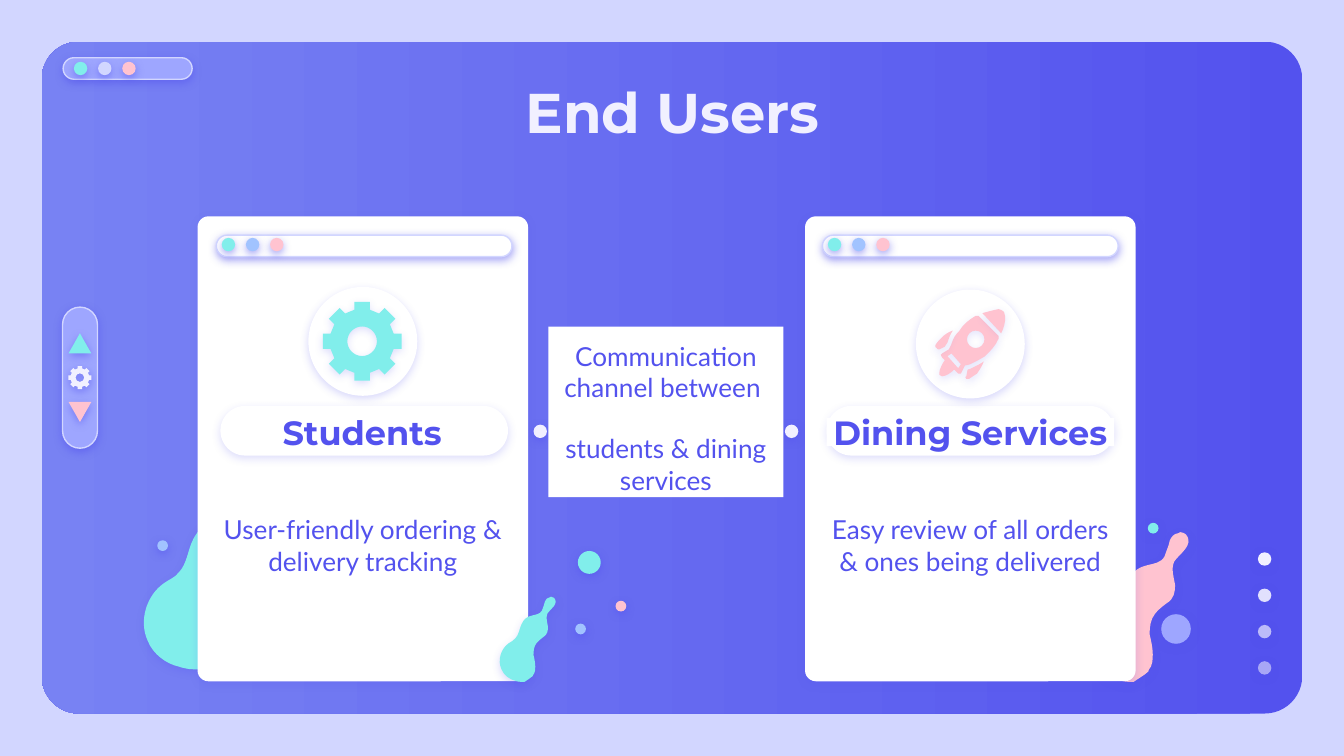
from math import cos, pi, sin
from lxml.etree import SubElement
from pptx import Presentation
from pptx.dml.color import RGBColor
from pptx.enum.shapes import MSO_SHAPE
from pptx.enum.text import MSO_ANCHOR, MSO_AUTO_SIZE, PP_ALIGN
from pptx.oxml.ns import qn
from pptx.util import Pt

PX = 9144
COLORS = {
    "indigo": "5352EE", "violet": "7882F3", "lilac": "9EA6FF", "mist": "D2D6FF",
    "teal": "81EEEB", "pink": "FFC3D0", "sky": "A1C3FF", "snow": "F1F0FF", "white": "FFFFFF",
}

TITLE = "End Users"
CHANNEL = ["Communication channel between ", "students & dining services"]
CARDS = [
    {"left": 147, "bar_left": 161, "heading": "Students", "heading_box": (182, 311, 175, 21),
     "body": "User-friendly ordering & delivery tracking", "icon_top": 214, "icon": "gear"},
    {"left": 599, "bar_left": 612, "heading": "Dining Services",
     "heading_box": (615, 311, 214, 21),
     "body": "Easy review of all orders & ones being delivered", "icon_top": 216, "icon": "rocket"},
]
BLOBS_BEHIND = [(103, 357, 1, "teal"), (808, 396, 0.79, "pink")]
BLOB_FRONT = (370, 444, 0.45, "teal")
BUBBLES = [
    (117, 402, 8, "sky"), (428, 464, 8, "sky"), (430, 410, 17, "teal"), (458, 447, 8, "pink"),
    (864, 457, 22, "lilac"), (854, 389, 8, "teal"), (397, 316, 10, "snow"), (584, 316, 10, "snow"),
]
PAGER_ALPHAS = [100, 90, 67, 54]

BLOB = [[
    (89, 0), (91, 0, 93, 1, 94, 2), (103, 12, 87, 21, 83, 28), (80, 35, 83, 43, 84, 50),
    (84, 56, 83, 63, 76, 67), (72, 70, 68, 73, 65, 77), (61, 82, 60, 89, 60, 96),
    (61, 101, 63, 108, 63, 115), (63, 119, 63, 126, 59, 130), (59, 131),
    (55, 135, 49, 138, 45, 141), (44, 141, 42, 141, 41, 141), (37, 141, 33, 140, 30, 139),
    (21, 137, 11, 130, 7, 120), (0, 105, 6, 86, 19, 77), (23, 74, 27, 73, 30, 69),
    (36, 63, 37, 52, 40, 46), (49, 25, 67, 35, 74, 23), (76, 17, 78, 13, 79, 8),
    (80, 5, 83, 1, 87, 1), (88, 0, 89, 0, 89, 0),
]]


def ring(x, y, r):
    k = 0.55 * r
    return [(x, y - r), (x + k, y - r, x + r, y - k, x + r, y),
            (x + r, y + k, x + k, y + r, x, y + r), (x - k, y + r, x - r, y + k, x - r, y),
            (x - r, y - k, x - k, y - r, x, y - r)]


def gear_outline():
    tooth = [(-5.7, -23.5), (-5.7, -29.3), (5.7, -29.3), (5.7, -23.5)]
    teeth = [(x * cos(i * pi / 4) - y * sin(i * pi / 4), x * sin(i * pi / 4) + y * cos(i * pi / 4))
             for i in range(8) for x, y in tooth]
    return [teeth, ring(0, 0, 11)]


GEAR = gear_outline()
ROCKET = [
    [[(31, 5), (31, 5, 31, 5, 30, 5), (25, 8, 21, 11, 18, 16), (15, 19, 13, 22, 12, 26),
      (11, 27, 11, 29, 10, 30), (5, 33), (4, 33, 4, 34, 4, 34), (4, 35, 4, 35, 5, 36), (7, 38),
      (5, 41, 3, 45, 3, 47), (3, 48, 3, 49, 3, 49), (4, 49, 4, 50, 5, 50),
      (8, 50, 12, 47, 14, 45), (17, 48), (19, 48), (22, 42), (24, 42, 25, 41, 26, 41),
      (30, 39, 34, 37, 37, 35), (41, 31, 45, 27, 47, 22), (47, 22, 47, 21, 47, 20), (32, 5)],
     [(12, 33), (19, 41), (17, 44), (9, 35)],
     ring(30, 22.5, 6.5)],
    [[(47, 0), (42, 1, 39, 2, 35, 3), (49, 18), (51, 14, 52, 10, 52, 6),
      (52, 4, 51, 3, 51, 2), (50, 1, 48, 0, 47, 0)]],
    [[(36, 39), (33, 41, 31, 42, 27, 44), (27, 44, 25, 45, 24, 45), (24, 47, 23, 48, 23, 50),
      (22, 50, 22, 51, 23, 52), (23, 52, 24, 52, 25, 52), (27, 51, 29, 49, 31, 48),
      (33, 45, 35, 42, 36, 39)]],
    [[(13, 16), (10, 17, 7, 19, 5, 21), (3, 23, 1, 25, 0, 27), (0, 28, 0, 29, 1, 29),
      (1, 30, 2, 30, 3, 30), (4, 29, 6, 29, 7, 28), (8, 27, 8, 26, 9, 25),
      (10, 22, 11, 19, 13, 16)]],
]

deck = Presentation()
deck.slide_width, deck.slide_height = 1000 * PX, 5143500
page = deck.slides.add_slide(deck.slide_layouts[4])
page.background.fill.solid()


def rgb(name):
    return RGBColor.from_string(COLORS[name])


page.background.fill.fore_color.rgb = rgb("mist")


def paint(shape, color, shadow=50, line=None, alpha=100):
    shape.fill.solid()
    shape.fill.fore_color.rgb = rgb(color)
    if alpha < 100:
        tint = shape.element.spPr.find(qn("a:solidFill"))[0]
        SubElement(tint, qn("a:alpha"), val=str(alpha * 1000))
    if line:
        shape.line.color.rgb = rgb(line)
        shape.line.width = Pt(0.75)
    else:
        shape.line.fill.background()
    shape.shadow.inherit = False
    effects = shape.element.spPr.find(qn("a:effectLst"))
    outer = SubElement(effects, qn("a:outerShdw"), blurRad=str(Pt(4.5)), dist=str(Pt(1.5)),
                       dir="5400000", algn="bl", rotWithShape="0")
    glow = SubElement(outer, qn("a:srgbClr"), val=COLORS["indigo"])
    SubElement(glow, qn("a:alpha"), val=str(shadow * 1000))


def add_preset(kind, box, color, radius=None, **style):
    shape = page.shapes.add_shape(kind, *(value * PX for value in box))
    if radius is not None:
        shape.adjustments[0] = radius
    paint(shape, color, **style)
    return shape


def add_dot(left, top, size, color, **style):
    add_preset(MSO_SHAPE.OVAL, (left, top, size, size), color, **style)


def add_dots(left, top, colors):
    for i, color in enumerate(colors):
        add_dot(left + 18 * i, top, 10, color)


def add_outline(contours, left, top, scale, color, shadow):
    def place(piece):
        return [(round((left + x * scale) * PX), round((top + y * scale) * PX))
                for x, y in zip(piece[::2], piece[1::2])]

    builder = None
    for contour in contours:
        ends = [place(piece)[-1] for piece in contour]
        if builder is None:
            builder = page.shapes.build_freeform(*ends[0])
        else:
            builder.move_to(*ends[0])
        builder.add_line_segments(ends[1:], close=True)
    shape = builder.convert_to_shape()
    pieces = [piece for contour in contours for piece in contour[1:]]
    for segment, piece in zip(list(shape.element.iter(qn("a:lnTo"))), pieces):
        if len(piece) == 6:
            curve = segment.makeelement(qn("a:cubicBezTo"), {})
            for x, y in place(piece):
                SubElement(curve, qn("a:pt"), x=str(x - shape.left), y=str(y - shape.top))
            segment.getparent().replace(segment, curve)
    paint(shape, color, shadow)


def write(shape, box, lines, font, size, color, bold=False, anchor=MSO_ANCHOR.MIDDLE,
          inset=10, fill="white", gap=0):
    shape.element.getparent().append(shape.element)
    shape.left, shape.top, shape.width, shape.height = (value * PX for value in box)
    if fill:
        shape.fill.solid()
        shape.fill.fore_color.rgb = rgb(fill)
    frame = shape.text_frame
    frame.text = "\n".join(lines)
    frame.word_wrap, frame.auto_size, frame.vertical_anchor = True, MSO_AUTO_SIZE.NONE, anchor
    frame.margin_left = frame.margin_right = frame.margin_top = frame.margin_bottom = inset * PX
    for i, para in enumerate(frame.paragraphs):
        para.alignment = PP_ALIGN.CENTER
        para.space_before = Pt(gap if i else 0)
        para.font.name, para.font.size, para.font.bold = font, Pt(size), bold
        para.font.color.rgb = rgb(color)
        settings = para._p.get_or_add_pPr()
        settings.set("marL", "0")
        settings.set("indent", "0")
        settings.insert_element_before(settings.makeelement(qn("a:buNone"), {}), "a:defRPr")


panel = page.shapes.add_shape(MSO_SHAPE.ROUNDED_RECTANGLE, 31 * PX, 31 * PX, 938 * PX, 500 * PX)
panel.adjustments[0] = 0.056
panel.shadow.inherit = False
panel.line.fill.background()
panel.fill.gradient()
panel.fill.gradient_angle = 180
for stop, position, color in zip(panel.fill.gradient_stops, (0, 1), ("indigo", "violet")):
    stop.position, stop.color.rgb = position, rgb(color)

add_preset(MSO_SHAPE.ROUNDED_RECTANGLE, (47, 43, 96, 16), "lilac", 0.5, line="mist")
add_dots(55, 46, ["teal", "mist", "pink"])
for i, alpha in enumerate(PAGER_ALPHAS):
    add_dot(936, 411 + 27 * i, 10, "snow", alpha=alpha)

for left, top, scale, color in BLOBS_BEHIND:
    add_outline(BLOB, left, top, scale, color, 22)
for bubble in BUBBLES:
    add_dot(*bubble)

for card in CARDS:
    left, bar_left, icon_top = card["left"], card["bar_left"], card["icon_top"]
    add_preset(MSO_SHAPE.ROUNDED_RECTANGLE, (left, 161, 246, 346), "white", 0.033, shadow=18)
    add_preset(MSO_SHAPE.ROUNDED_RECTANGLE, (bar_left + 3, 302, 214, 37), "white", 0.5, shadow=18)
    add_preset(MSO_SHAPE.ROUNDED_RECTANGLE, (bar_left, 175, 220, 16), "white", 0.5, line="mist")
    add_dots(bar_left + 4, 177, ["teal", "sky", "pink"])
    add_dot(left + 83, icon_top, 80, "white", shadow=22, line="white")
    if card["icon"] == "gear":
        add_outline(GEAR, left + 122.5, icon_top + 40, 1, "teal", 18)
    else:
        for part in ROCKET:
            add_outline(part, left + 97, icon_top + 14, 1, "pink", 14)
left, top, scale, color = BLOB_FRONT
add_outline(BLOB, left, top, scale, color, 22)

add_preset(MSO_SHAPE.ROUNDED_RECTANGLE, (7, 268, 105, 26), "lilac", 0.5, line="mist").rotation = 90
add_preset(MSO_SHAPE.ISOSCELES_TRIANGLE, (51, 248, 17, 15), "teal")
add_preset(MSO_SHAPE.ISOSCELES_TRIANGLE, (51, 299, 17, 15), "pink").rotation = 180
add_outline(GEAR, 59.5, 281, 0.29, "snow", 52)

write(page.shapes.title, (79, 48, 843, 63), [TITLE], "Montserrat", 30, "snow", True,
      MSO_ANCHOR.TOP, fill=None)
for i, card in enumerate(CARDS):
    write(page.placeholders[2 * i + 1], card["heading_box"], [card["heading"]],
          "Montserrat", 18, "indigo", True, inset=0)
    write(page.placeholders[2 * i + 2], (card["left"] + 7, 350, 232, 111), [card["body"]],
          "Lato", 14, "indigo")
channel = page.shapes.add_textbox(0, 0, PX, PX)
write(channel, (408, 243, 175, 127), CHANNEL, "Lato", 14, "indigo", anchor=MSO_ANCHOR.TOP, gap=16)

deck.save("out.pptx")
